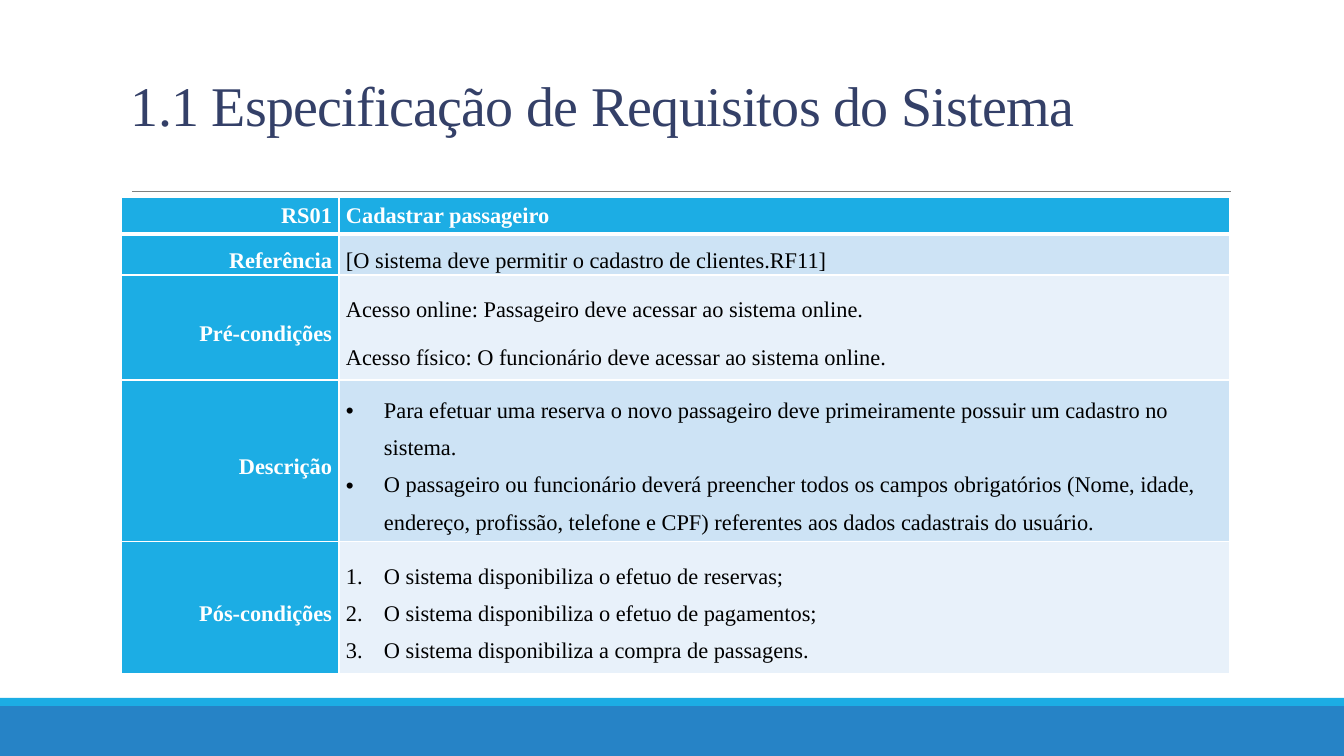
from dataclasses import dataclass

from lxml.etree import SubElement
from pptx import Presentation
from pptx.dml.color import RGBColor
from pptx.enum.shapes import MSO_CONNECTOR, MSO_SHAPE
from pptx.enum.text import MSO_ANCHOR, PP_ALIGN
from pptx.oxml import parse_xml
from pptx.oxml.ns import nsdecls, qn
from pptx.util import Pt

EMU_PER_PX = 914400 / 100.8


@dataclass(frozen=True)
class Theme:
    font: str = "Times New Roman"
    title_size: int = 40
    body_size: int = 16
    title: str = "344068"
    rule: str = "808080"
    accent: str = "1CADE4"
    footer: str = "2683C6"
    white: str = "FFFFFF"
    black: str = "000000"
    bands: tuple[str, str] = ("CDE3F5", "E8F1FA")


@dataclass(frozen=True)
class Bar:
    top: int
    height: int
    color: str


@dataclass(frozen=True)
class Requirement:
    label: str
    lines: tuple[str, ...]
    height: int
    marker: str = ""


THEME = Theme()
BARS = (Bar(706, 50, THEME.footer), Bar(698, 8, THEME.accent))
COLUMNS = (218, 891)
REQUIREMENTS = (
    Requirement("RS01", ("Cadastrar passageiro",), 37),
    Requirement("Referência", ("[O sistema deve permitir o cadastro de clientes.RF11]",), 41),
    Requirement("Pré-condições", (
        "Acesso online: Passageiro deve acessar ao sistema online.",
        "Acesso físico: O funcionário deve acessar ao sistema online.",
    ), 105),
    Requirement("Descrição", (
        "Para efetuar uma reserva o novo passageiro deve primeiramente possuir um cadastro no sistema.",
        "O passageiro ou funcionário deverá preencher todos os campos obrigatórios (Nome, idade, "
        "endereço, profissão, telefone e CPF) referentes aos dados cadastrais do usuário.",
    ), 149, "bullet"),
    Requirement("Pós-condições", (
        "O sistema disponibiliza o efetuo de reservas;",
        "O sistema disponibiliza o efetuo de pagamentos;",
        "O sistema disponibiliza a compra de passagens.",
    ), 133, "number"),
)


def px(n: int) -> int:
    return round(n * EMU_PER_PX)


def rgb(color: str) -> RGBColor:
    return RGBColor.from_string(color)


def add_marker(p, marker: str) -> None:
    pPr = p._p.get_or_add_pPr()
    pPr.set("marL", str(px(38)))
    pPr.set("indent", str(-px(38)))
    if marker == "bullet":
        SubElement(pPr, qn("a:buFont")).set("typeface", "Arial")
        SubElement(pPr, qn("a:buChar")).set("char", "•")
    else:
        SubElement(pPr, qn("a:buAutoNum")).set("type", "arabicPeriod")


def write(p, text: str, *, size: int = THEME.body_size, color: str = THEME.black,
          bold: bool = False, align=PP_ALIGN.LEFT, leading: float = 1.5,
          after: int = 0, tracking: int = 0, marker: str = "") -> None:
    p.alignment = align
    p.line_spacing = leading
    p.space_after = Pt(after)
    if marker:
        add_marker(p, marker)
    r = p.add_run()
    r.text = text
    r.font.name = THEME.font
    r.font.size = Pt(size)
    r.font.bold = bold
    r.font.color.rgb = rgb(color)
    if tracking:
        r._r.get_or_add_rPr().set("spc", str(tracking))


def add_bar(s, bar: Bar, width: int) -> None:
    sp = s.shapes.add_shape(MSO_SHAPE.RECTANGLE, 0, px(bar.top), px(width), px(bar.height))
    sp.shadow.inherit = False
    sp.fill.solid()
    sp.fill.fore_color.rgb = rgb(bar.color)
    sp.line.fill.background()


def add_rule(s) -> None:
    line = s.shapes.add_connector(MSO_CONNECTOR.STRAIGHT, px(132), px(191), px(1231), px(191))
    line.line.color.rgb = rgb(THEME.rule)
    line.line.width = Pt(0.5)
    SubElement(line._element.spPr, qn("a:effectLst"))


def add_title(s, text: str) -> None:
    tf = s.shapes.add_textbox(px(121), px(76), px(1093), px(67)).text_frame
    tf.word_wrap = True
    tf.vertical_anchor = MSO_ANCHOR.BOTTOM
    write(tf.paragraphs[0], text, size=THEME.title_size, color=THEME.title,
          leading=0.85, tracking=-50)


def style_cell(cell, fill: str, top: int, bottom: int) -> None:
    cell.vertical_anchor = MSO_ANCHOR.MIDDLE
    cell.margin_left = cell.margin_right = px(7)
    cell.margin_top = cell.margin_bottom = 0
    cell.fill.solid()
    cell.fill.fore_color.rgb = rgb(fill)
    tcPr = cell._tc.get_or_add_tcPr()
    for i, (side, width) in enumerate(zip("LRTB", (1, 1, top, bottom))):
        tcPr.insert(i, parse_xml(
            f'<a:ln{side} {nsdecls("a")} w="{Pt(width)}"><a:solidFill>'
            f'<a:srgbClr val="{THEME.white}"/></a:solidFill></a:ln{side}>'))


def add_requirements(s, rows: tuple[Requirement, ...]) -> None:
    height = sum(row.height for row in rows)
    table = s.shapes.add_table(len(rows), len(COLUMNS), px(121), px(197),
                               px(sum(COLUMNS)), px(height)).table
    table.horz_banding = False
    for column, width in zip(table.columns, COLUMNS):
        column.width = px(width)
    for i, row in enumerate(rows):
        table.rows[i].height = px(row.height)
        header = i == 0
        leading = 1.07 if header else 1.5
        label, body = table.cell(i, 0), table.cell(i, 1)
        top, bottom = (3 if i == 1 else 1), (3 if header else 1)
        style_cell(label, THEME.accent, top, bottom)
        style_cell(body, THEME.accent if header else THEME.bands[(i - 1) % 2], top, bottom)
        write(label.text_frame.paragraphs[0], row.label, color=THEME.white, bold=True,
              align=PP_ALIGN.RIGHT, leading=leading, after=8)
        tf = body.text_frame
        for j, text in enumerate(row.lines):
            p = tf.add_paragraph() if j else tf.paragraphs[0]
            write(p, text, color=THEME.white if header else THEME.black, bold=header,
                  leading=leading, after=0 if row.marker else 8, marker=row.marker)


def main() -> None:
    prs = Presentation()
    prs.slide_width, prs.slide_height = px(1344), px(756)
    s = prs.slides.add_slide(prs.slide_layouts[6])
    for bar in BARS:
        add_bar(s, bar, 1344)
    add_rule(s)
    add_title(s, "1.1 Especificação de Requisitos do Sistema")
    add_requirements(s, REQUIREMENTS)
    prs.save("out.pptx")


if __name__ == "__main__":
    main()
